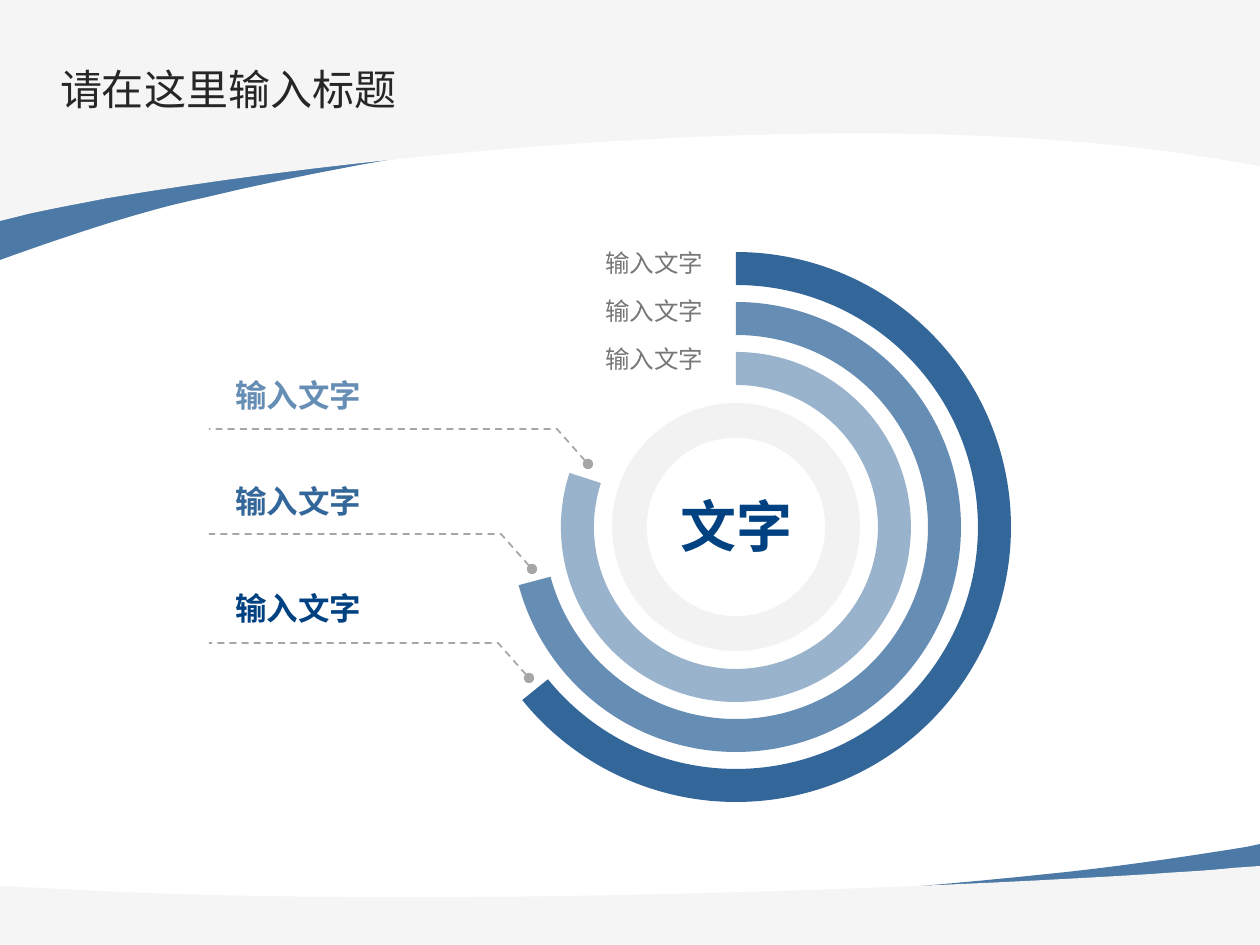
from dataclasses import dataclass

from lxml import etree
from pptx import Presentation
from pptx import util as u
from pptx.dml.color import RGBColor
from pptx.enum import dml, shapes, text
from pptx.oxml.ns import qn

SCALE = 914400 / 126
WIDTH, HEIGHT = 1260, 945
CENTER = (736, 527)
CURVE_STEPS = 24


@dataclass(frozen=True)
class Theme:
    font: str = "Noto Sans CJK SC"
    blue: str = "004181"
    band: str = "F5F5F5"
    ring: str = "F2F2F2"
    title: str = "262626"
    caption: str = "777777"
    leader: str = "A6A6A6"
    title_size: int = 24
    center_size: int = 32
    label_size: int = 18
    caption_size: int = 14


THEME = Theme()

SWOOSHES = [
    (THEME.blue, 70, [(0, 260), (0, 83), (1260, 83), (1260, 156), (1259, 155)],
     [[(975, 67), (485, 130), (203, 198)], [(146, 210), (82, 231), (14, 255)]]),
    (THEME.band, 100, [(0, 221), (0, 0), (1260, 0), (1260, 166), (1218, 159)],
     [[(890, 103), (399, 149), (108, 198)], [(83, 203), (55, 208), (28, 214)]]),
    (THEME.blue, 70, [(1260, 844), (1260, 926), (0, 926), (0, 892), (1, 892)],
     [[(285, 934), (775, 903), (1057, 873)], [(1114, 867), (1178, 858), (1246, 847)]]),
    (THEME.band, 100, [(1260, 866), (1260, 945), (0, 945), (0, 886), (42, 888)],
     [[(369, 908), (861, 892), (1152, 874)], [(1177, 872), (1205, 871), (1232, 868)]]),
]


def px(length):
    return u.Emu(round(length * SCALE))


def paint(fill, element, color, opacity=100):
    fill.solid()
    fill.fore_color.rgb = RGBColor.from_string(color)
    if opacity < 100:
        node = next(element.iter(qn("a:srgbClr")))
        etree.SubElement(node, qn("a:alpha"), val=str(opacity * 1000))


def add_run(paragraph, words, size, color, opacity=100, bold=False):
    run = paragraph.add_run()
    run.text = words
    font = run.font
    font.size = u.Pt(size)
    font.bold = bold
    paint(font.fill, run._r, color, opacity)
    font.name = THEME.font
    latin = run._r.rPr.find(qn("a:latin"))
    latin.addnext(latin.makeelement(qn("a:ea"), {"typeface": THEME.font}))


def curve_points(start, controls):
    first, second, end = controls
    for step in range(1, CURVE_STEPS + 1):
        t = step / CURVE_STEPS
        yield tuple((1 - t) ** 3 * a + 3 * (1 - t) ** 2 * t * b
                    + 3 * (1 - t) * t ** 2 * c + t ** 3 * d
                    for a, b, c, d in zip(start, first, second, end))


def add_outline(slide, points, close):
    corners = [(px(x), px(y)) for x, y in points]
    builder = slide.shapes.build_freeform(*corners[0], scale=1.0)
    builder.add_line_segments(corners[1:], close=close)
    shape = builder.convert_to_shape()
    shape.shadow.inherit = False
    return shape


def add_swoosh(slide, color, opacity, corners, curves):
    points = list(corners)
    for controls in curves:
        points.extend(curve_points(points[-1], controls))
    shape = add_outline(slide, points, True)
    paint(shape.fill, shape._element.spPr, color, opacity)
    shape.line.fill.background()


def add_round(slide, kind, radius, color, opacity, adjustments):
    x, y = CENTER
    shape = slide.shapes.add_shape(kind, px(x - radius), px(y - radius),
                                   px(2 * radius), px(2 * radius))
    for index, value in enumerate(adjustments):
        shape.adjustments[index] = value
    shape.shadow.inherit = False
    paint(shape.fill, shape._element.spPr, color, opacity)
    shape.line.fill.background()


def add_arc(slide, radius, end_angle, opacity):
    degree = 0.6
    add_round(slide, shapes.MSO_SHAPE.BLOCK_ARC, radius, THEME.blue, opacity,
              (270 * degree, end_angle * degree, 33 / (2 * radius)))


def add_label(slide, box, words, size, color, opacity=100, bold=False,
              align=text.PP_ALIGN.LEFT):
    shape = slide.shapes.add_textbox(*map(px, box))
    frame = shape.text_frame
    frame.word_wrap = False
    frame.auto_size = text.MSO_AUTO_SIZE.SHAPE_TO_FIT_TEXT
    paragraph = frame.paragraphs[0]
    paragraph.alignment = align
    add_run(paragraph, words, size, color, opacity, bold)


def add_leader(slide, x, y):
    shape = add_outline(slide, [(x, y), (x - 31, y - 35), (209, y - 35)], False)
    shape.fill.background()
    line = shape.line
    line.width = u.Pt(1)
    line.color.rgb = RGBColor.from_string(THEME.leader)
    line.dash_style = dml.MSO_LINE.DASH
    etree.SubElement(shape._element.spPr.find(qn("a:ln")), qn("a:headEnd"), type="oval")


def set_title(slide, words):
    title = slide.shapes.title
    slide.shapes._spTree.append(title._element)
    title.left, title.top, title.width, title.height = map(px, (50, 52, 1134, 73))
    frame = title.text_frame
    frame.margin_left = frame.margin_top = frame.margin_bottom = px(10)
    frame.margin_right = 0
    frame.word_wrap = True
    frame.auto_size = text.MSO_AUTO_SIZE.NONE
    frame.vertical_anchor = text.MSO_ANCHOR.MIDDLE
    paragraph = frame.paragraphs[0]
    paragraph.alignment = text.PP_ALIGN.LEFT
    add_run(paragraph, words, THEME.title_size, THEME.title)


def main():
    presentation = Presentation()
    presentation.slide_width, presentation.slide_height = px(WIDTH), px(HEIGHT)
    slide = presentation.slides.add_slide(presentation.slide_layouts[5])

    for swoosh in SWOOSHES:
        add_swoosh(slide, *swoosh)
    set_title(slide, "请在这里输入标题")

    for radius, end_angle, opacity in ((275, 141, 80), (225, 165, 60), (175, 198, 40)):
        add_arc(slide, radius, end_angle, opacity)
    add_round(slide, shapes.MSO_SHAPE.DONUT, 124, THEME.ring, 100, (0.14,))
    add_label(slide, (667, 485, 139, 81), "文字", THEME.center_size, THEME.blue,
              bold=True, align=text.PP_ALIGN.CENTER)

    for row in range(3):
        add_label(slide, (591, 242 + 48 * row, 125, 43), "输入文字",
                  THEME.caption_size, THEME.caption, align=text.PP_ALIGN.RIGHT)
    for top, opacity, dot in ((370, 60, (588, 464)), (476, 80, (532, 569)),
                              (583, 100, (529, 678))):
        add_label(slide, (223, top, 152, 50), "输入文字", THEME.label_size,
                  THEME.blue, opacity, bold=True)
        add_leader(slide, *dot)

    presentation.save("out.pptx")


if __name__ == "__main__":
    main()
